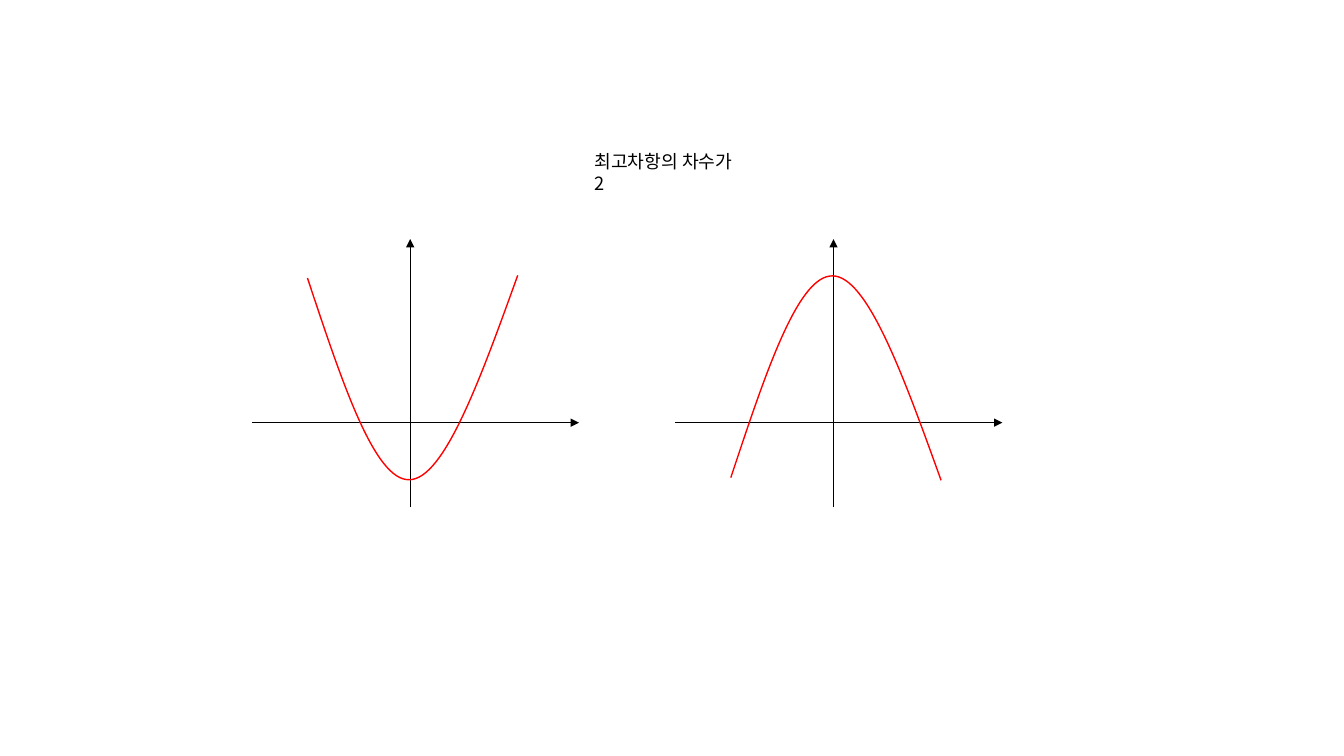
from lxml import etree
from pptx import Presentation
from pptx.dml.color import RGBColor
from pptx.enum.shapes import MSO_CONNECTOR
from pptx.enum.text import MSO_ANCHOR, MSO_AUTO_SIZE
from pptx.oxml.ns import qn
from pptx.util import Pt

STRAIGHT = MSO_CONNECTOR.STRAIGHT
TOP = MSO_ANCHOR.TOP
NO_AUTOFIT = MSO_AUTO_SIZE.NONE

FONT = "Noto Sans CJK KR"
BLACK = "000000"
RED = "FF0000"

GRAPH_LEFTS = (180, 482.4)
AXIS_LENGTH = 233.6
AXIS_Y = 301.9
VERTICAL_X = 113
VERTICAL_TOP, VERTICAL_BOTTOM = 170.8, 362.5
MIRROR_SUM = 539.8
PARABOLA = (
    (39.6, 198.6),
    (63.6, 270.6), (87.2, 343.3), (112.3, 342.7),
    (137.2, 342.7), (163.4, 270), (189.8, 196.7),
)


def color(hex_value):
    """Turn a hex string into a colour."""
    return RGBColor.from_string(hex_value)


class GraphSlide:
    """Holds the style and the current slide."""

    def __init__(self, slide):
        """Keep the slide to draw on."""
        self.slide = slide

    def text(self, left, top, width, height, words):
        """Add a caption that wraps inside its box."""
        shape = self.slide.shapes.add_textbox(Pt(left), Pt(top), Pt(width), Pt(height))
        frame = shape.text_frame
        frame.word_wrap = True
        frame.auto_size = NO_AUTOFIT
        frame.vertical_anchor = TOP
        frame.margin_right = Pt(14.4)
        paragraph = frame.paragraphs[0]
        paragraph.line_spacing = Pt(15.7)
        run = paragraph.add_run()
        run.text = words
        run.font.size = Pt(13)
        run.font.name = FONT
        run.font.color.rgb = color(BLACK)
        properties = run.font._element
        etree.SubElement(properties, qn("a:ea"), typeface=FONT)

    def axis(self, group, start, end):
        """Add an axis with an arrowhead at its end."""
        connector = group.shapes.add_connector(
            STRAIGHT, *(Pt(value) for value in (*start, *end))
        )
        connector.line.color.rgb = color(BLACK)
        connector.line.width = Pt(0.5)
        etree.SubElement(connector.line._get_or_add_ln(), qn("a:tailEnd"), type="triangle")
        etree.SubElement(connector.element.spPr, qn("a:effectLst"))

    def curve(self, group, points):
        """Add an open line of cubic curves through the given points."""
        start, *rest = [(Pt(x), Pt(y)) for x, y in points]
        builder = group.shapes.build_freeform(*start)
        builder.add_line_segments(rest, close=False)
        shape = builder.convert_to_shape()
        shape.shadow.inherit = False
        shape.fill.background()
        shape.line.color.rgb = color(RED)
        shape.line.width = Pt(1)
        segments = list(shape.element.iter(qn("a:lnTo")))
        for first in range(0, len(segments), 3):
            cubic = segments[first]
            for segment in segments[first + 1:first + 3]:
                cubic.append(segment[0])
                segment.getparent().remove(segment)
            cubic.tag = qn("a:cubicBezTo")

    def graph(self, left, mirrored):
        """Add a group with two axes and a parabola."""
        group = self.slide.shapes.add_group_shape()
        middle = left + VERTICAL_X
        self.axis(group, (middle, VERTICAL_BOTTOM), (middle, VERTICAL_TOP))
        self.axis(group, (left, AXIS_Y), (left + AXIS_LENGTH, AXIS_Y))
        points = [(left + x, MIRROR_SUM - y if mirrored else y) for x, y in PARABOLA]
        self.curve(group, points)


def main():
    """Build the slide and save it."""
    presentation = Presentation()
    presentation.slide_width = Pt(960)
    presentation.slide_height = Pt(540)
    slide = presentation.slides.add_slide(presentation.slide_layouts[6])
    graph_slide = GraphSlide(slide)
    graph_slide.text(417.6, 103.7, 125.3, 23, "최고차항의 차수가 2")
    for left, mirrored in zip(GRAPH_LEFTS, (False, True)):
        graph_slide.graph(left, mirrored)
    presentation.save("out.pptx")


if __name__ == "__main__":
    main()
